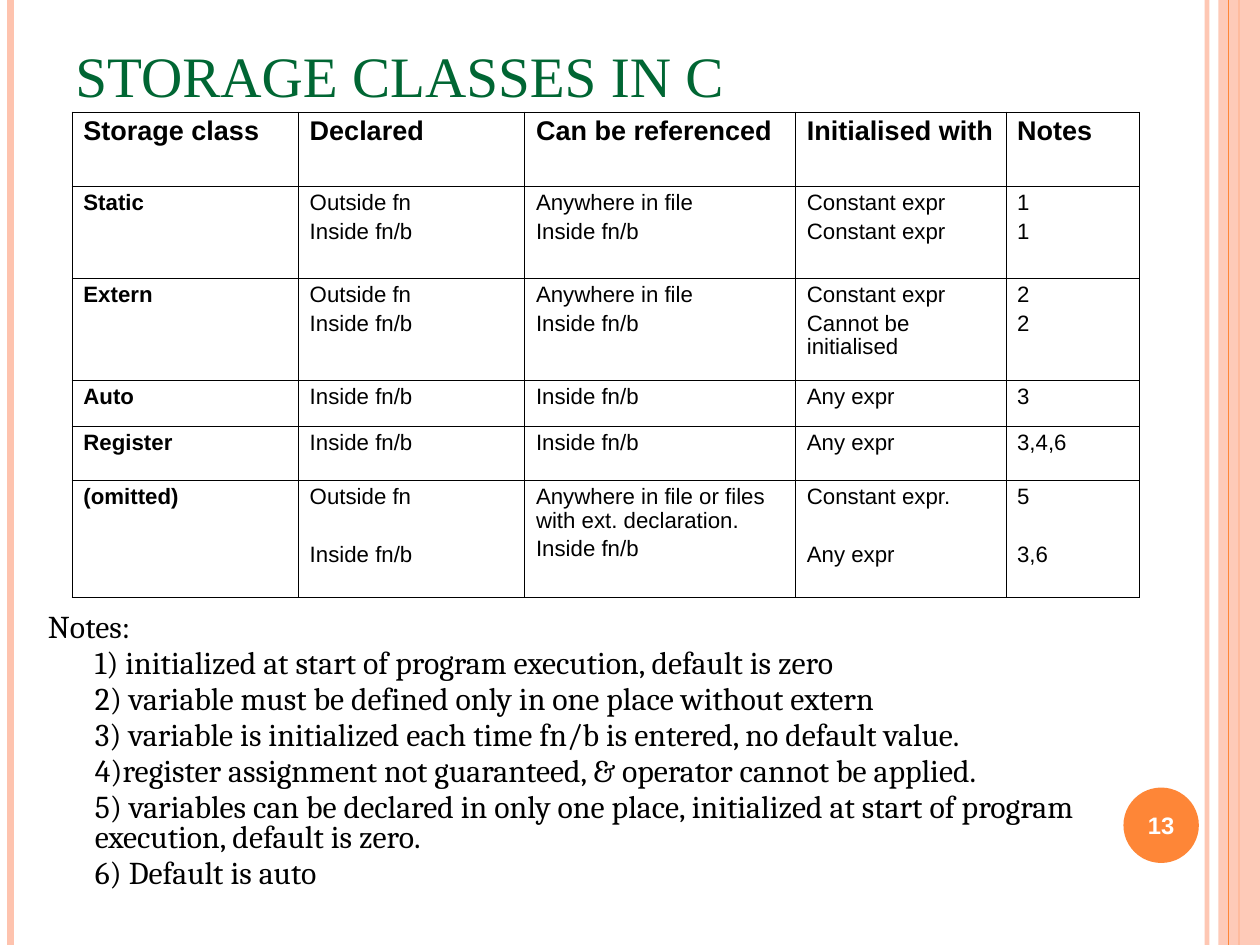
import pptx
import pptx.dml.color
import pptx.enum.shapes
import pptx.enum.text
import pptx.oxml
import pptx.oxml.ns
import pptx.util
from lxml import etree

COLUMNS, ROWS = 1102.43, 826.74
GRID_STEP = pptx.util.Inches(0.01)
PEACH, ORANGE, GREEN, BLACK, WHITE = "FEC3AE", "FE8637", "006633", "000000", "FFFFFF"

COLUMN_WIDTHS = [198, 198, 237, 184, 117]
ROW_HEIGHTS = [65, 80.5, 89, 40, 48, 102]
# A blank line inside an entry leaves one row of text free.
STORAGE_CLASSES = [
    ["Storage class", "Declared", "Can be referenced", "Initialised with", "Notes"],
    ["Static", "Outside fn\nInside fn/b", "Anywhere in file\nInside fn/b",
     "Constant expr\nConstant expr", "1\n1"],
    ["Extern", "Outside fn\nInside fn/b", "Anywhere in file\nInside fn/b",
     "Constant expr\nCannot be initialised", "2\n2"],
    ["Auto", "Inside fn/b", "Inside fn/b", "Any expr", "3"],
    ["Register", "Inside fn/b", "Inside fn/b", "Any expr", "3,4,6"],
    ["(omitted)", "Outside fn\n\nInside fn/b",
     "Anywhere in file or files with ext. declaration.\nInside fn/b",
     "Constant expr.\n\nAny expr", "5\n\n3,6"],
]
NOTES = [
    "Notes:",
    "1) initialized at start of program execution, default is zero",
    "2) variable must be defined only in one place without extern",
    "3) variable is initialized each time fn/b is entered, no default value.",
    "4)register assignment not guaranteed, & operator cannot be applied.",
    "5) variables can be declared in only one place, initialized at start of program "
    "execution, default is zero.",
    "6) Default is auto",
]


def grid(*steps):
    return [pptx.util.Emu(round(step * GRID_STEP)) for step in steps]


def paint(color_format, hex_color, opacity=100):
    color_format.rgb = pptx.dml.color.RGBColor.from_string(hex_color)
    if opacity < 100:
        color = color_format._xFill.find(pptx.oxml.ns.qn("a:srgbClr"))
        alpha = etree.SubElement(color, pptx.oxml.ns.qn("a:alpha"))
        alpha.set("val", str(opacity * 1000))


def style_text(paragraph, font_name, size, hex_color, bold=False):
    for run in paragraph.runs:
        run.font.name = font_name
        run.font.size = pptx.util.Pt(size)
        run.font.bold = bold
        paint(run.font.color, hex_color)


def set_margins(frame, side, end):
    frame.margin_left = frame.margin_right = pptx.util.Inches(side)
    frame.margin_top = frame.margin_bottom = pptx.util.Inches(end)


def add_solid(slide, kind, box, hex_color, opacity=100):
    solid = slide.shapes.add_shape(kind, *grid(*box))
    solid.shadow.inherit = False
    solid.fill.solid()
    paint(solid.fill.fore_color, hex_color, opacity)
    solid.line.fill.background()
    return solid


def add_stripe(slide, column, hex_color, width, opacity=100):
    stripe = slide.shapes.add_connector(
        pptx.enum.shapes.MSO_CONNECTOR.STRAIGHT, *grid(column, 0, column, ROWS))
    stripe.line.width = pptx.util.Pt(width)
    stripe.line.fill.solid()
    paint(stripe.line.fill.fore_color, hex_color, opacity)
    etree.SubElement(stripe._element.spPr, pptx.oxml.ns.qn("a:effectLst"))


def add_side_bands(slide):
    add_stripe(slide, 1056, PEACH, 3, 93)
    add_stripe(slide, 9, PEACH, 4.5)
    add_stripe(slide, 1084, ORANGE, 1.5)
    add_solid(slide, pptx.enum.shapes.MSO_SHAPE.RECTANGLE,
              (1066, 0, COLUMNS - 1066, ROWS), PEACH, 87)
    add_stripe(slide, 1075, ORANGE, 0.75)


def add_page_number(slide, box, number):
    badge = add_solid(slide, pptx.enum.shapes.MSO_SHAPE.OVAL, box, ORANGE)
    frame = badge.text_frame
    set_margins(frame, 0, 0)
    frame.vertical_anchor = pptx.enum.text.MSO_ANCHOR.MIDDLE
    frame.text = number
    frame.paragraphs[0].alignment = pptx.enum.text.PP_ALIGN.CENTER
    style_text(frame.paragraphs[0], "Arial", 15, WHITE, bold=True)


def fill_title(slide, box, wording):
    title = slide.shapes.title
    title.left, title.top, title.width, title.height = grid(*box)
    frame = title.text_frame
    frame.text = wording
    frame.auto_size = pptx.enum.text.MSO_AUTO_SIZE.NONE
    frame.vertical_anchor = pptx.enum.text.MSO_ANCHOR.BOTTOM
    set_margins(frame, 0.11, 0.06)
    frame.paragraphs[0].alignment = pptx.enum.text.PP_ALIGN.LEFT
    style_text(frame.paragraphs[0], "Times New Roman", 36, GREEN)


def draw_borders(cell, outer_sides):
    for side in "LRTB":
        width = pptx.util.Pt(0.5 if side in outer_sides else 0.23)
        cell._tc.get_or_add_tcPr().append(pptx.oxml.parse_xml(
            f'<a:ln{side} {pptx.oxml.ns.nsdecls("a")} w="{width}"><a:solidFill>'
            f'<a:srgbClr val="{BLACK}"/></a:solidFill></a:ln{side}>'))


def fill_cell(cell, entry, size, bold):
    lines = entry.split("\n")
    frame = cell.text_frame
    frame.text = "\n".join(filter(None, lines))
    paragraphs = iter(frame.paragraphs)
    gap, line_pitch = 0, 1.3 * size
    for line in lines:
        if line:
            paragraph = next(paragraphs)
            paragraph.line_spacing = 0.93
            paragraph.space_before = pptx.util.Pt(gap)
            style_text(paragraph, "Arial", size, BLACK, bold)
            gap = 0.25 * size
        else:
            gap += line_pitch


def add_storage_table(slide, left, top):
    box = grid(left, top, sum(COLUMN_WIDTHS), sum(ROW_HEIGHTS))
    table = slide.shapes.add_table(len(ROW_HEIGHTS), len(COLUMN_WIDTHS), *box).table
    table.first_row = table.horz_banding = False
    for column, width in zip(table.columns, grid(*COLUMN_WIDTHS)):
        column.width = width
    last_row, last_column = len(ROW_HEIGHTS) - 1, len(COLUMN_WIDTHS) - 1
    for r, height in enumerate(grid(*ROW_HEIGHTS)):
        table.rows[r].height = height
        for c, entry in enumerate(STORAGE_CLASSES[r]):
            cell = table.cell(r, c)
            edges = {"L": c == 0, "R": c == last_column, "T": r == 0, "B": r == last_row}
            draw_borders(cell, [side for side, outer in edges.items() if outer])
            cell.fill.background()
            # Narrow sides keep each heading on one line.
            cell.margin_left, cell.margin_right = grid(10, 8)
            fill_cell(cell, entry, 17 if r == 0 else 14, r == 0 or c == 0)


def add_notes_list(slide, box):
    frame = slide.shapes.add_textbox(*grid(*box)).text_frame
    frame.word_wrap = True
    set_margins(frame, 0.11, 0.06)
    frame.text = "\n".join(NOTES)
    for index, paragraph in enumerate(frame.paragraphs):
        paragraph.line_spacing = 0.8
        paragraph.space_before = pptx.util.Pt(3.5 if index else 0)
        if index:
            paragraph._p.get_or_add_pPr().set("marL", str(pptx.util.Inches(0.41)))
        style_text(paragraph, "Cambria", 20, BLACK)


def main():
    deck = pptx.Presentation()
    deck.slide_width, deck.slide_height = grid(COLUMNS, ROWS)
    slide = deck.slides.add_slide(deck.slide_layouts[5])
    add_side_bands(slide)
    fill_title(slide, (55, 12, 900, 89), "STORAGE CLASSES IN C")
    add_storage_table(slide, 63, 98)
    add_notes_list(slide, (31, 531, 969, 272))
    add_page_number(slide, (983, 689, 66, 66), "13")
    deck.save("out.pptx")


if __name__ == "__main__":
    main()
